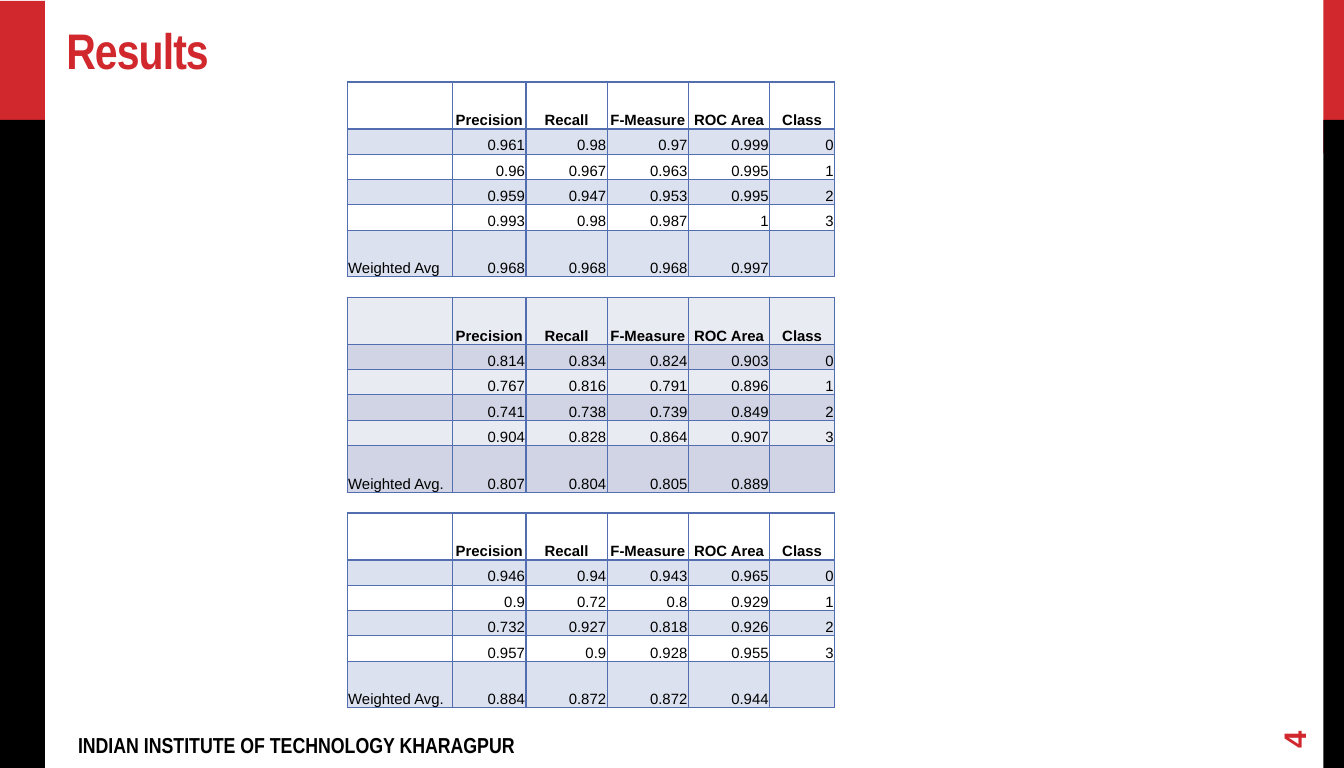
import pptx
import pptx.dml.color
import pptx.enum.shapes
import pptx.enum.text
import pptx.util
from lxml import etree
from pptx.oxml.ns import qn

Inches = pptx.util.Inches
Pt = pptx.util.Pt
ALIGN = pptx.enum.text.PP_ALIGN
ANCHOR = pptx.enum.text.MSO_ANCHOR

# Slide height of 7 7/8 inches, in the ratio 7:4
SLIDE_HEIGHT = 63 / 8
SLIDE_WIDTH = SLIDE_HEIGHT * 7 / 4

COLORS = {
    "red": "D1282E",
    "black": "000000",
    "blue": "526DB0",
    "band_light": "E9EBF2",
    "band_dark": "D1D4E4",
}

# Tables: header, class rows, average row
HEADER = ["", "Precision", "Recall", "F-Measure", "ROC Area", "Class"]
COL_WIDTHS = [twelfths / 12 for twelfths in (13, 9, 10, 10, 10, 8)]
ROW_HEIGHTS = [0.48, 0.26, 0.26, 0.26, 0.26, 0.48]
TABLE_LEFT, TABLE_TOP, TABLE_STEP = 3.56, 0.84, 2.21

# Each entry: average label, scores by class with the average last, solid bands
RESULTS = [
    ("Weighted Avg", [
        ["0.961", "0.98", "0.97", "0.999"],
        ["0.96", "0.967", "0.963", "0.995"],
        ["0.959", "0.947", "0.953", "0.995"],
        ["0.993", "0.98", "0.987", "1"],
        ["0.968", "0.968", "0.968", "0.997"],
    ], False),
    ("Weighted Avg.", [
        ["0.814", "0.834", "0.824", "0.903"],
        ["0.767", "0.816", "0.791", "0.896"],
        ["0.741", "0.738", "0.739", "0.849"],
        ["0.904", "0.828", "0.864", "0.907"],
        ["0.807", "0.804", "0.805", "0.889"],
    ], True),
    ("Weighted Avg.", [
        ["0.946", "0.94", "0.943", "0.965"],
        ["0.9", "0.72", "0.8", "0.929"],
        ["0.732", "0.927", "0.818", "0.926"],
        ["0.957", "0.9", "0.928", "0.955"],
        ["0.884", "0.872", "0.872", "0.944"],
    ], False),
]


def rgb(name):
    return pptx.dml.color.RGBColor.from_string(COLORS[name])


def set_font(font, name, size, color, bold):
    font.name = name
    font.size = Pt(size)
    font.color.rgb = rgb(color)
    font.bold = bold


def add_bar(s, left, top, width, height, color):
    sp = s.shapes.add_shape(pptx.enum.shapes.MSO_SHAPE.RECTANGLE, Inches(left),
                            Inches(top), Inches(width), Inches(height))
    sp.shadow.inherit = False
    sp.fill.solid()
    sp.fill.fore_color.rgb = rgb(color)
    sp.line.fill.background()


def add_text(s, text, box, font, size, color, anchor, rotation=0, spacing=0):
    sp = s.shapes.add_textbox(*[Inches(v) for v in box])
    sp.rotation = rotation
    tf = sp.text_frame
    tf.word_wrap = True
    tf.vertical_anchor = anchor
    tf.margin_left = tf.margin_right = Inches(0.11)
    tf.margin_top = tf.margin_bottom = Inches(0.06)
    p = tf.paragraphs[0]
    r = p.add_run()
    r.text = text
    set_font(p.font, font, size, color, True)
    if spacing:
        r._r.get_or_add_rPr().set("spc", str(round(spacing * 100)))


def set_borders(cell, top, bottom):
    tcPr = cell._tc.get_or_add_tcPr()
    for side, width in (("L", 1), ("R", 1), ("T", top), ("B", bottom)):
        ln = etree.SubElement(tcPr, qn(f"a:ln{side}"), w=str(Pt(width)))
        fill = etree.SubElement(ln, qn("a:solidFill"))
        etree.SubElement(fill, qn("a:srgbClr"), val=COLORS["blue"])


def fill_cell(cell, row, solid_bands):
    banded = row % 2 == 1
    if not solid_bands and not banded:
        cell.fill.background()
        return
    cell.fill.solid()
    if solid_bands:
        cell.fill.fore_color.rgb = rgb("band_dark" if banded else "band_light")
    else:
        cell.fill.fore_color.rgb = rgb("blue")
        clr = cell._tc.tcPr.find(qn("a:solidFill")).find(qn("a:srgbClr"))
        etree.SubElement(clr, qn("a:alpha"), val="20000")


def write_cell(cell, text, align, bold):
    cell.margin_left = cell.margin_right = cell.margin_top = Inches(0.01)
    cell.margin_bottom = 0
    cell.vertical_anchor = ANCHOR.BOTTOM
    p = cell.text_frame.paragraphs[0]
    p.alignment = align
    set_font(p.font, "Arial", 11, "black", bold)
    if text:
        p.add_run().text = text
    else:
        # Keeps empty cells from stretching the row
        p._p.get_or_add_endParaRPr().set("sz", "1100")


def add_results_table(s, top, average_label, scores, solid_bands):
    rows = [HEADER]
    rows += [["", *values, str(i)] for i, values in enumerate(scores[:-1])]
    rows.append([average_label, *scores[-1], ""])
    frame = s.shapes.add_table(len(rows), len(HEADER), Inches(TABLE_LEFT), Inches(top),
                               Inches(sum(COL_WIDTHS)), Inches(sum(ROW_HEIGHTS)))
    table = frame.table
    table.first_row = table.horz_banding = False
    for column, width in zip(table.columns, COL_WIDTHS):
        column.width = Inches(width)
    header_rule = 1 if solid_bands else 2
    for i, (values, height) in enumerate(zip(rows, ROW_HEIGHTS)):
        table.rows[i].height = Inches(height)
        for j, text in enumerate(values):
            cell = table.cell(i, j)
            if i == 0:
                align = ALIGN.CENTER
            else:
                align = ALIGN.RIGHT if j else ALIGN.LEFT
            write_cell(cell, text, align, i == 0)
            set_borders(cell, header_rule if i == 1 else 1,
                        header_rule if i == 0 else 1)
            fill_cell(cell, i, solid_bands)


def main():
    prs = pptx.Presentation()
    prs.slide_width, prs.slide_height = Inches(SLIDE_WIDTH), Inches(SLIDE_HEIGHT)
    s = prs.slides.add_slide(prs.slide_layouts[6])

    # Side bars
    for left, top, width in ((13.57, 0, 0.22), (0, 0.01, 0.46)):
        add_bar(s, left, top, width, 1.57, "red")
        add_bar(s, left, 1.23, width, 6.65, "black")

    # Title, footer and page number
    add_text(s, "Results", (0.57, 0.18, 12.86, 0.7), "Arial Narrow", 36.9, "red",
             ANCHOR.BOTTOM, spacing=-0.7)
    add_text(s, "INDIAN INSTITUTE OF TECHNOLOGY KHARAGPUR", (0.69, 7.44, 8.38, 0.34),
             "Arial Narrow", 16, "black", ANCHOR.TOP)
    add_text(s, "4", (12.86, 7.21, 0.81, 0.34), "Arial", 23, "red",
             ANCHOR.MIDDLE, rotation=270)

    # Result tables
    for i, result in enumerate(RESULTS):
        add_results_table(s, TABLE_TOP + i * TABLE_STEP, *result)

    prs.save("out.pptx")


if __name__ == "__main__":
    main()
